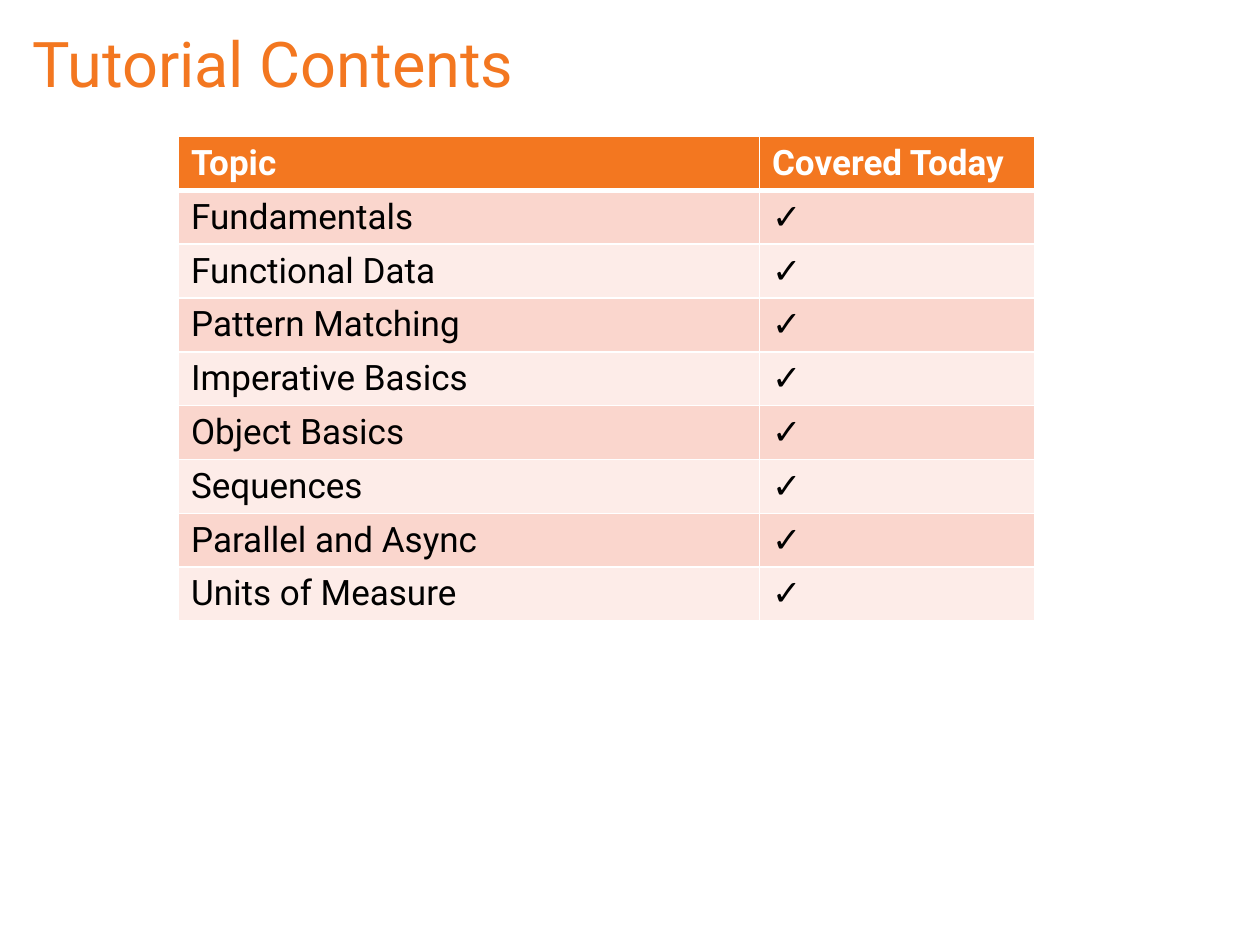
from lxml import etree
from pptx import Presentation
from pptx.dml.color import RGBColor
from pptx.enum import text
from pptx.oxml.ns import qn
from pptx.util import Pt

FONT = "Roboto"
COLORS = {
    "accent": "F37720",
    "white": "FFFFFF",
    "black": "000000",
    "odd": "FAD6CD",
    "even": "FDECE8",
}
TOPICS = [
    "Fundamentals",
    "Functional Data",
    "Pattern Matching",
    "Imperative Basics",
    "Object Basics",
    "Sequences",
    "Parallel and Async",
    "Units of Measure",
]


def rgb(name):
    return RGBColor.from_string(COLORS[name])


def style_text(tf, size, color, bold=False):
    for r in tf.paragraphs[0].runs:
        r.font.name = FONT
        r.font.size = Pt(size)
        r.font.bold = bold
        r.font.color.rgb = rgb(color)


def add_title(s, title):
    sp = s.shapes.title
    sp.left, sp.top, sp.width, sp.height = Pt(11.5), Pt(11.5), Pt(692), Pt(48)
    tf = sp.text_frame
    tf.text = title
    tf.vertical_anchor = text.MSO_ANCHOR.MIDDLE
    tf.paragraphs[0].alignment = text.PP_ALIGN.LEFT
    style_text(tf, 36, "accent")


def set_borders(cell, widths):
    tc_pr = cell._tc.get_or_add_tcPr()
    for i, (side, width) in enumerate(widths.items()):
        ln = etree.Element(qn(f"a:ln{side}"), w=str(Pt(width)))
        fill = etree.SubElement(ln, qn("a:solidFill"))
        etree.SubElement(fill, qn("a:srgbClr"), val=COLORS["white"])
        tc_pr.insert(i, ln)


def format_cell(cell, value, row):
    header = row == 0
    cell.text = value
    style_text(cell.text_frame, 20, "white" if header else "black", header)
    cell.fill.solid()
    cell.fill.fore_color.rgb = rgb("accent" if header else "odd" if row % 2 else "even")
    set_borders(cell, {"L": 1, "R": 1, "T": 3 if row == 1 else 1, "B": 3 if header else 1})


def add_topic_table(s, rows):
    widths = [332, 157.5]
    row_height = 30.75
    frame = s.shapes.add_table(
        len(rows), len(widths), Pt(102), Pt(78), Pt(sum(widths)), Pt(row_height * len(rows))
    )
    table = frame.table
    for column, width in zip(table.columns, widths):
        column.width = Pt(width)
    for i, values in enumerate(rows):
        table.rows[i].height = Pt(row_height)
        for j, value in enumerate(values):
            format_cell(table.cell(i, j), value, i)


def main():
    prs = Presentation()
    prs.slide_width, prs.slide_height = Pt(720), Pt(540)
    s = prs.slides.add_slide(prs.slide_layouts[5])
    add_title(s, "Tutorial Contents")
    add_topic_table(s, [("Topic", "Covered Today")] + [(topic, "✓") for topic in TOPICS])
    prs.save("out.pptx")


if __name__ == "__main__":
    main()
